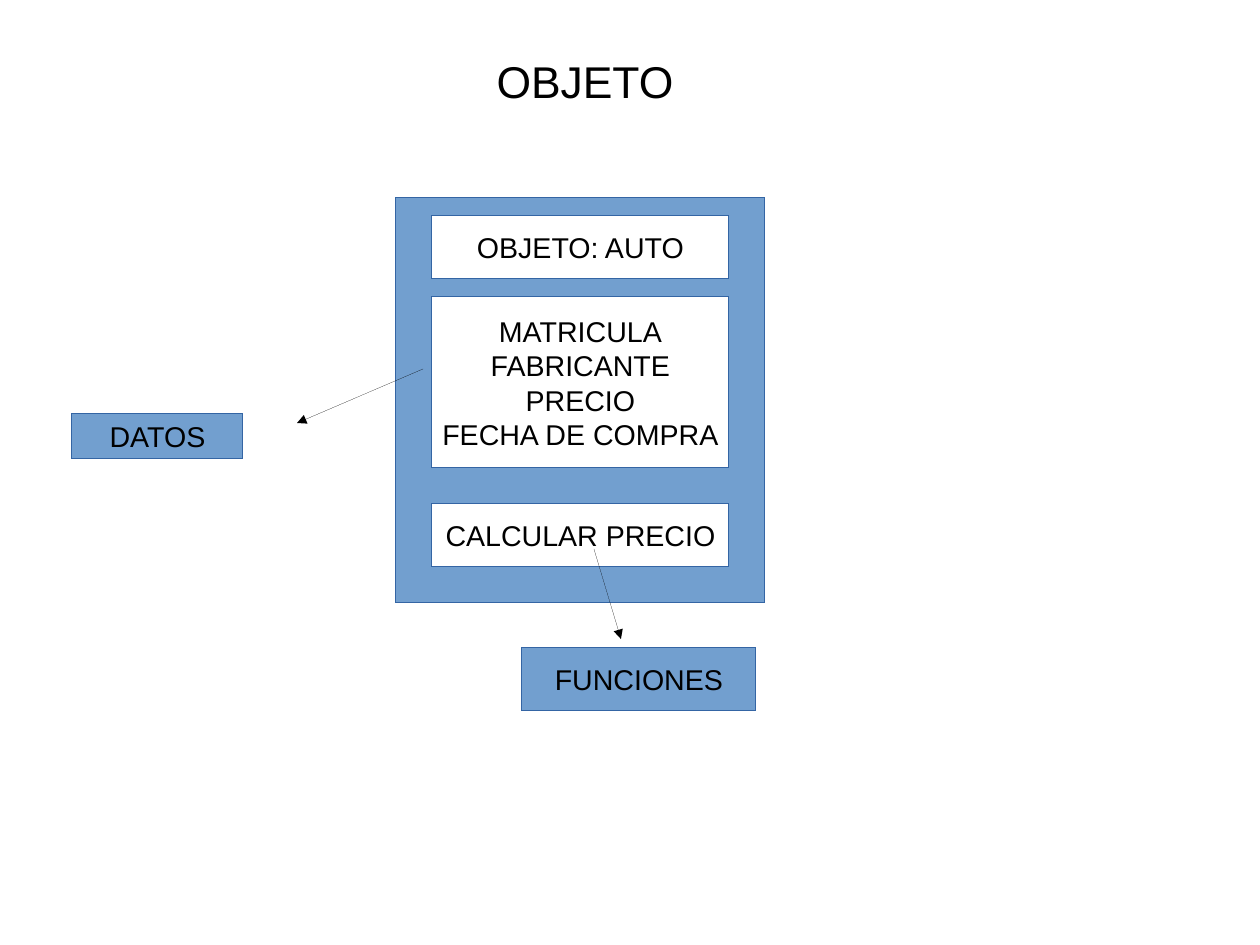
import pptx
import pptx.util
import pptx.dml.color
import pptx.enum.shapes
import pptx.enum.text
import pptx.oxml.ns
import lxml.etree

Pt = pptx.util.Pt
RGBColor = pptx.dml.color.RGBColor

BLUE = RGBColor(0x72, 0x9F, 0xCF)
EDGE = RGBColor(0x34, 0x65, 0xA4)
WHITE = RGBColor(0xFF, 0xFF, 0xFF)
BLACK = RGBColor(0, 0, 0)

GRID = 72 / 2.54  # points in one centimetre
HAIR = Pt(0.01)
FRAME = {
    "vertical_anchor": pptx.enum.text.MSO_ANCHOR.MIDDLE,
    "word_wrap": False,
    "margin_left": Pt(7.2), "margin_right": Pt(7.2),
    "margin_top": Pt(3.6), "margin_bottom": Pt(3.6),
}


def apply(target, values):
    for name, value in values.items():
        setattr(target, name, value)


def scale(units):
    """Turn grid units into lengths."""
    return [Pt(round(unit * GRID, 2)) for unit in units]


def add_box(slide, area, fill, lines=(), edge=EDGE, size=18):
    """Draw a filled rectangle with centred lines of text."""
    kind = pptx.enum.shapes.MSO_SHAPE.RECTANGLE
    box = slide.shapes.add_shape(kind, *scale(area))
    box.shadow.inherit = False
    box.fill.solid()
    box.fill.fore_color.rgb = fill
    box.line.color.rgb = edge
    box.line.width = HAIR
    frame = box.text_frame
    apply(frame, FRAME)
    for index, text in enumerate(lines):
        para = frame.add_paragraph() if index else frame.paragraphs[0]
        para.alignment = pptx.enum.text.PP_ALIGN.CENTER
        run = para.add_run()
        run.text = text
        apply(run.font, {"name": "Arial", "size": Pt(size)})
        run.font.color.rgb = BLACK


def add_arrow(slide, start, end):
    """Draw a hairline with a triangle at its end."""
    kind = pptx.enum.shapes.MSO_CONNECTOR.STRAIGHT
    arrow = slide.shapes.add_connector(kind, *scale(start + end))
    arrow.line.color.rgb = BLACK
    arrow.line.width = HAIR
    qn = pptx.oxml.ns.qn
    props = arrow._element.spPr
    lxml.etree.SubElement(props.find(qn("a:ln")), qn("a:tailEnd"),
                          type="triangle")
    lxml.etree.SubElement(props, qn("a:effectLst"))


def main():
    deck = pptx.Presentation()
    deck.slide_width = Pt(793.7)
    deck.slide_height = Pt(595.28)
    slide = deck.slides.add_slide(deck.slide_layouts[6])

    # Object panel and its rows
    add_box(slide, (8.8, 4.4, 8.2, 9), BLUE)
    rows = [
        (4.8, 1.4, ["OBJETO: AUTO"]),
        (6.6, 3.8, ["MATRICULA", "FABRICANTE", "PRECIO",
                    "FECHA DE COMPRA"]),
        (11.2, 1.4, ["CALCULAR PRECIO"]),
    ]
    for top, height, lines in rows:
        add_box(slide, (9.6, top, 6.6, height), WHITE, lines)

    # Labels with their arrows
    add_arrow(slide, (9.4, 8.2), (6.6, 9.4))
    add_box(slide, (1.6, 9.2, 3.8, 1), BLUE, ["DATOS"])
    add_box(slide, (11.6, 14.4, 5.2, 1.4), BLUE, ["FUNCIONES"])
    add_arrow(slide, (13.2, 12.2), (13.8, 14.2))

    # Title
    add_box(slide, (8.6, 1, 8.8, 1.6), WHITE, ["OBJETO"],
            edge=WHITE, size=28)

    deck.save("out.pptx")


if __name__ == "__main__":
    main()
